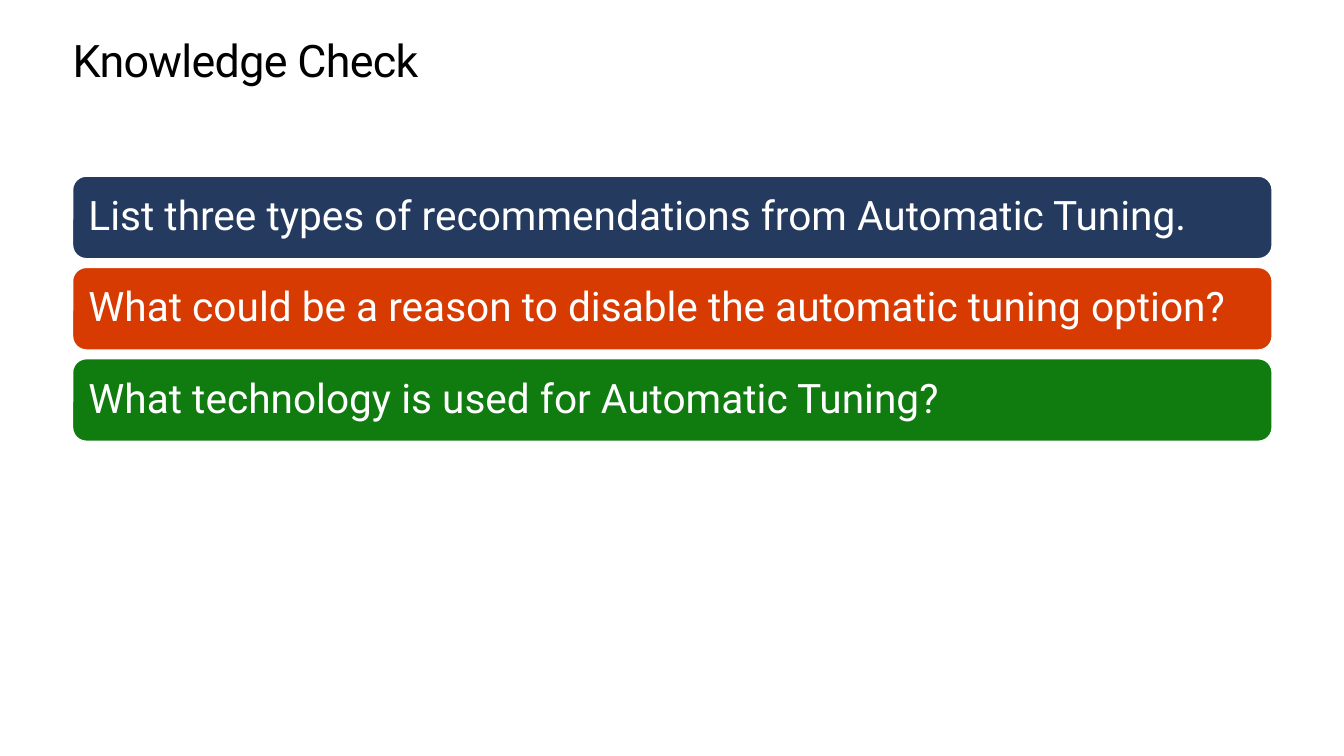
from dataclasses import dataclass
from typing import Any

import pptx
import pptx.dml.color
import pptx.enum.shapes
import pptx.enum.text
import pptx.util

Cm = pptx.util.Cm
Pt = pptx.util.Pt

LEFT, WIDTH = Cm(1.83), Cm(30.23)
FIRST_TOP, BAR_HEIGHT, BAR_PITCH = Cm(4.44), Cm(2.08), Cm(2.3)
FONT = "Roboto"


@dataclass(frozen=True)
class Question:
    text: str
    fill: str


QUESTIONS = [
    Question("List three types of recommendations from Automatic Tuning.", "243A5E"),
    Question("What could be a reason to disable the automatic tuning option?", "D83B01"),
    Question("What technology is used for Automatic Tuning?", "107C10"),
]


def color(value: str) -> pptx.dml.color.RGBColor:
    return pptx.dml.color.RGBColor.from_string(value)


def apply(target: Any, values: dict[str, Any]) -> None:
    """Set each named attribute of the target."""
    for name, value in values.items():
        setattr(target, name, value)


def write(shape: Any, text: str, size: float, hex_color: str,
          line_spacing: Any, inset: int, anchor: Any) -> Any:
    """Fill the shape with one left-aligned line and return its run."""
    frame = shape.text_frame
    apply(frame, {
        "word_wrap": True, "vertical_anchor": anchor,
        "margin_left": inset, "margin_right": inset,
        "margin_top": inset, "margin_bottom": inset,
    })
    para = frame.paragraphs[0]
    apply(para, {"alignment": pptx.enum.text.PP_ALIGN.LEFT,
                 "line_spacing": line_spacing, "space_before": Pt(0)})
    span = para.add_run()
    span.text = text
    apply(span.font, {"name": FONT, "size": Pt(size)})
    span.font.color.rgb = color(hex_color)
    return span


def add_title(page: Any, text: str) -> None:
    title = page.shapes.title
    apply(title, {"left": LEFT, "top": Cm(0.89), "width": WIDTH, "height": Cm(1.27)})
    span = write(title, text, 32, "000000", Pt(36.2), 0,
                 pptx.enum.text.MSO_ANCHOR.TOP)
    title.text_frame.auto_size = pptx.enum.text.MSO_AUTO_SIZE.SHAPE_TO_FIT_TEXT
    span.font._element.set("spc", "-50")


def add_question(page: Any, question: Question, top: int) -> None:
    bar = page.shapes.add_shape(
        pptx.enum.shapes.MSO_SHAPE.ROUNDED_RECTANGLE, LEFT, top, WIDTH, BAR_HEIGHT)
    bar.shadow.inherit = False
    bar.fill.solid()
    bar.fill.fore_color.rgb = color(question.fill)
    bar.line.color.rgb = color("FFFFFF")
    bar.line.width = Pt(1)
    write(bar, question.text, 29, "FFFFFF", 0.9, Cm(0.3),
          pptx.enum.text.MSO_ANCHOR.MIDDLE)


def main() -> None:
    deck = pptx.Presentation()
    apply(deck, {"slide_width": Cm(33.87), "slide_height": Cm(19.05)})
    page = deck.slides.add_slide(deck.slide_layouts.get_by_name("Title Only"))
    add_title(page, "Knowledge Check")
    for row, question in enumerate(QUESTIONS):
        add_question(page, question, FIRST_TOP + row * BAR_PITCH)
    deck.save("out.pptx")


if __name__ == "__main__":
    main()
